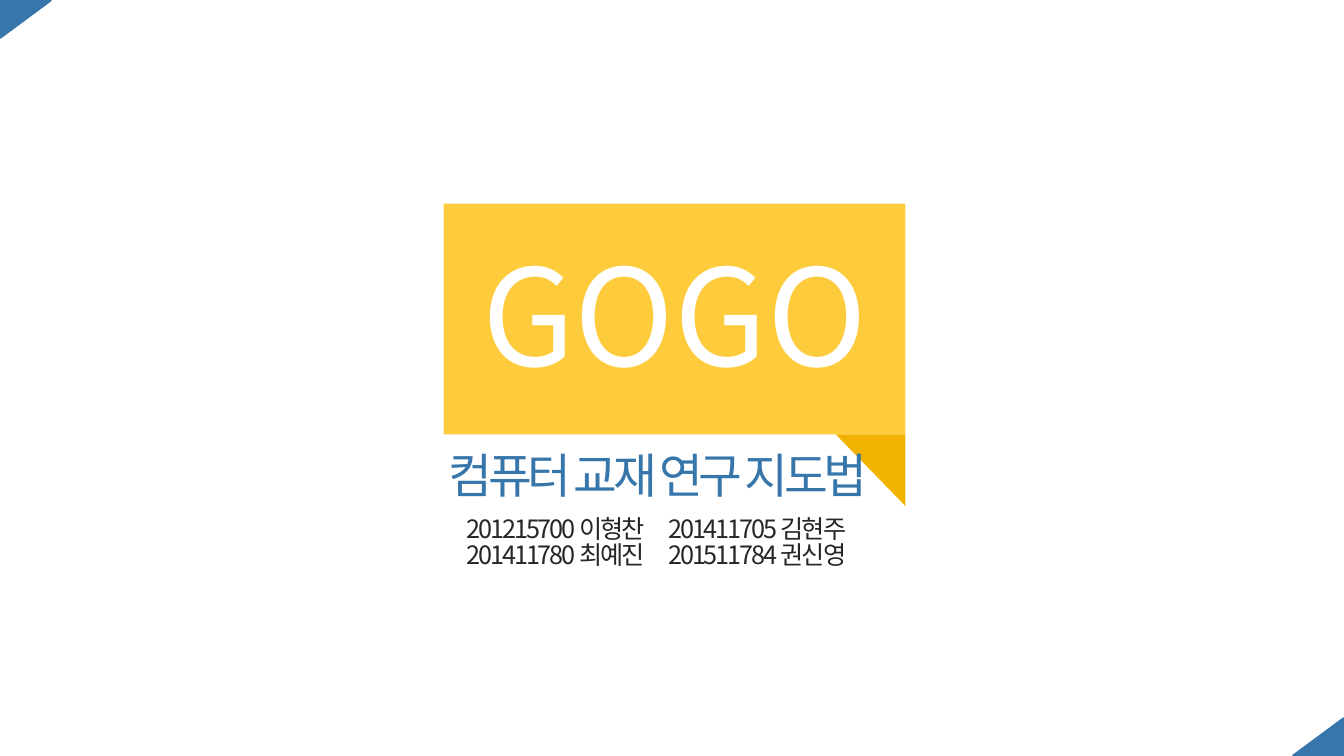
from pptx import Presentation
from pptx.dml.color import RGBColor
from pptx.enum.shapes import MSO_SHAPE
from pptx.enum.text import MSO_ANCHOR, MSO_AUTO_SIZE, PP_ALIGN
from pptx.util import Inches, Pt

TRIANGLE = MSO_SHAPE.RIGHT_TRIANGLE
MIDDLE, TOP = MSO_ANCHOR.MIDDLE, MSO_ANCHOR.TOP
CENTER, LEFT = PP_ALIGN.CENTER, PP_ALIGN.LEFT
NO_FIT = MSO_AUTO_SIZE.NONE

FONT = "Noto Sans CJK KR"
BLUE, YELLOW, AMBER = "3776AB", "FECB3C", "F1B201"
WHITE, DARK = "FFFFFF", "262626"
SLIDE_W, SLIDE_H = 13.33, 7.5


def rgb(value):
    return RGBColor.from_string(value)


def set_attrs(obj, values):
    for name, value in values.items():
        setattr(obj, name, value)


def place(shape, x, y, w, h):
    set_attrs(shape, dict(left=Inches(x), top=Inches(y),
                          width=Inches(w), height=Inches(h)))


def write(shape, lines, size, color, frame, para, spacing=0):
    """Fill a shape with one paragraph per line; spacing is in points."""
    tf = shape.text_frame
    set_attrs(tf, dict(word_wrap=True, auto_size=NO_FIT) | frame)
    for i, line in enumerate(lines):
        p = tf.paragraphs[0] if i == 0 else tf.add_paragraph()
        set_attrs(p, dict(space_before=Pt(0)) | para)
        r = p.add_run()
        r.text = line
        set_attrs(r.font, dict(name=FONT, size=Pt(size), bold=False))
        r.font.color.rgb = rgb(color)
        rPr = r.font._element
        rPr.set("spc", str(int(spacing * 100)))
        ea = rPr.makeelement(rPr.find("{*}latin").tag.replace("latin", "ea"),
                             {"typeface": FONT})
        rPr.find("{*}latin").addnext(ea)


def add_triangle(s, x, y, w, h, rotation, color, line=None):
    sp = s.shapes.add_shape(TRIANGLE, Inches(x), Inches(y), Inches(w), Inches(h))
    sp.rotation = rotation
    sp.shadow.inherit = False
    sp.fill.solid()
    sp.fill.fore_color.rgb = rgb(color)
    if line:
        sp.line.color.rgb = rgb(color)
        sp.line.width = Pt(line)
    else:
        sp.line.fill.background()
    return sp


def add_title_block(s, x, y, w, h):
    # Yellow title panel
    title, subtitle = s.shapes.title, s.placeholders[1]
    place(title, x, y, w, h)
    title.fill.solid()
    title.fill.fore_color.rgb = rgb(YELLOW)
    write(title, ["GOGO"], 96, WHITE,
          dict(vertical_anchor=MIDDLE, margin_bottom=Inches(0.17)),
          dict(alignment=CENTER))

    # Folded corner, behind the subtitle
    fold = add_triangle(s, x + w - 0.69, y + h, 0.69, 0.71, 180, AMBER)
    fold.element.addnext(subtitle.element)

    # Course name and members
    frame = dict(vertical_anchor=TOP, margin_top=0, margin_bottom=0)
    para = dict(alignment=LEFT, line_spacing=0.85)
    place(subtitle, x - 0.05, y + h + 0.2, 4.51, 0.57)
    write(subtitle, ["컴퓨터 교재 연구 지도법"], 34, BLUE, frame, para, -3)
    members = s.shapes.add_textbox(Inches(x + 0.13), Inches(y + h + 0.83),
                                   Inches(4.34), Inches(0.61))
    write(members, ["201215700 이형찬 \t201411705 김현주",
                    "201411780 최예진 \t201511784 권신영"],
          18, DARK, frame, para, -1.5)


def add_corners(s, slide_w, slide_h):
    # Blue triangles in two opposite corners
    w, h = 0.37, 0.5
    x, y = (h - w) / 2, (w - h) / 2
    add_triangle(s, x, y, w, h, 90, BLUE, 2.25)
    add_triangle(s, slide_w - x - w, slide_h - y - h, w, h, 270, BLUE, 2.25)


def main():
    prs = Presentation()
    prs.slide_width, prs.slide_height = Inches(SLIDE_W), Inches(SLIDE_H)
    s = prs.slides.add_slide(prs.slide_layouts[0])
    add_title_block(s, 4.4, 2.02, 4.58, 2.29)
    add_corners(s, SLIDE_W, SLIDE_H)
    prs.save("out.pptx")


if __name__ == "__main__":
    main()
